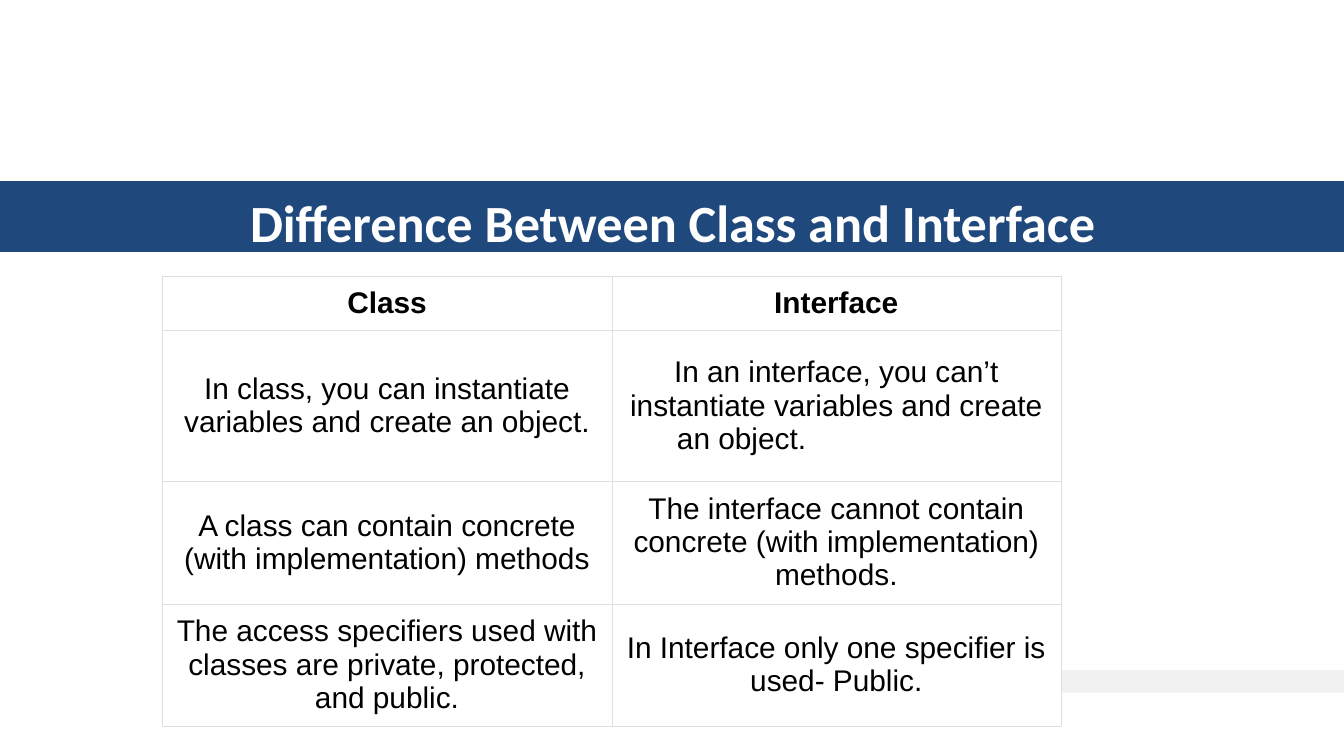
import pptx
import pptx.dml.color
import pptx.enum.text
import pptx.oxml
import pptx.oxml.ns
import pptx.util

Pt = pptx.util.Pt
ALIGN = pptx.enum.text.PP_ALIGN
ANCHOR = pptx.enum.text.MSO_ANCHOR

COLORS = {
    "band": "1F487C",
    "footer": "F1F1F1",
    "border": "DFDFDF",
    "paper": "FFFFFF",
    "ink": "000000",
}
BORDER_WIDTH = 0.15


def rgb(name):
    return pptx.dml.color.RGBColor.from_string(COLORS[name])


def write(para, text, font="Arial", size=16, color="ink", bold=False,
          align=ALIGN.CENTER, indent=0):
    """Put text in a paragraph with the given format."""
    para.alignment = align
    if indent:
        para._p.get_or_add_pPr().set("marL", str(Pt(indent)))
    span = para.add_run()
    span.text = text
    span.font.name = font
    span.font.size = Pt(size)
    span.font.bold = bold
    span.font.color.rgb = rgb(color)


class Painter:
    """Holds the page and draws each kind of element on it."""

    def __init__(self, page):
        self.page = page

    def bar(self, top, height, spans, color):
        """Draw one shape made of a rectangle for each (left, right) span."""
        bottom = top + height
        builder = None
        for left, right in spans:
            if builder is None:
                builder = self.page.shapes.build_freeform(left, top, scale=Pt(1))
            else:
                builder.move_to(left, top)
            builder.add_line_segments(
                [(right, top), (right, bottom), (left, bottom)], close=True)
        shape = builder.convert_to_shape()
        shape.shadow.inherit = False
        shape.fill.solid()
        shape.fill.fore_color.rgb = rgb(color)
        shape.line.fill.background()

    def title(self, text, left, top, width, height):
        box = self.page.shapes.title
        box.left, box.top, box.width, box.height = map(
            Pt, (left, top, width, height))
        frame = box.text_frame
        frame.auto_size = pptx.enum.text.MSO_AUTO_SIZE.NONE
        frame.word_wrap = True
        frame.vertical_anchor = ANCHOR.TOP
        frame.margin_left = frame.margin_right = frame.margin_bottom = 0
        frame.margin_top = Pt(1)
        write(frame.paragraphs[0], text, font="Calibri", size=28,
              color="paper", bold=True)

    def border(self, cell):
        properties = cell._tc.get_or_add_tcPr()
        for side in ("lnL", "lnR", "lnT", "lnB"):
            properties.append(pptx.oxml.parse_xml(
                f'<a:{side} {pptx.oxml.ns.nsdecls("a")} w="{Pt(BORDER_WIDTH)}">'
                f'<a:solidFill><a:srgbClr val="{COLORS["border"]}"/></a:solidFill>'
                f'</a:{side}>'))

    def table(self, rows, left, top, column_width, heights):
        """Each cell is a list of (text, format) paragraphs."""
        columns = len(rows[0])
        table = self.page.shapes.add_table(
            len(rows), columns, Pt(left), Pt(top),
            Pt(column_width * columns), Pt(sum(heights))).table
        table.first_row = table.horz_banding = False
        for column in table.columns:
            column.width = Pt(column_width)
        for index, (row, height) in enumerate(zip(rows, heights)):
            table.rows[index].height = Pt(height)
            for number, content in enumerate(row):
                cell = table.cell(index, number)
                self.border(cell)
                cell.fill.solid()
                cell.fill.fore_color.rgb = rgb("paper")
                cell.vertical_anchor = ANCHOR.MIDDLE
                cell.margin_left = cell.margin_right = Pt(3)
                cell.margin_top = cell.margin_bottom = Pt(4 if index else 3)
                frame = cell.text_frame
                for position, (text, style) in enumerate(content):
                    para = (frame.add_paragraph() if position
                            else frame.paragraphs[0])
                    write(para, text, bold=index == 0, **style)


def plain(text):
    return [(text, {})]


ROWS = [
    [plain("Class"), plain("Interface")],
    [plain("In class, you can instantiate variables and create an object."),
     [("In an interface, you can’t instantiate variables and create", {}),
      ("an object.", {"align": ALIGN.LEFT, "indent": 32})]],
    [plain("A class can contain concrete (with implementation) methods"),
     plain("The interface cannot contain concrete (with implementation) methods.")],
    [plain("The access specifiers used with classes are private, protected, and public."),
     plain("In Interface only one specifier is used- Public.")],
]


def main():
    deck = pptx.Presentation()
    deck.slide_width, deck.slide_height = Pt(720), Pt(405)
    painter = Painter(deck.slides.add_slide(deck.slide_layouts[5]))

    # Title band and footer strip, moved behind the title
    painter.bar(97, 38, [(0, 720)], "band")
    painter.bar(358.8, 12.6, [(517, 520.5), (523.5, 720)], "footer")
    tree = painter.page.shapes._spTree
    tree.append(painter.page.shapes.title._element)

    # Title
    painter.title("Difference Between Class and Interface", 8.6, 100.8, 703.5, 68.4)

    # Comparison table
    painter.table(ROWS, 87, 147.8, 240.7, [29.2, 80.8, 65.6, 65.6])

    deck.save("out.pptx")


if __name__ == "__main__":
    main()
